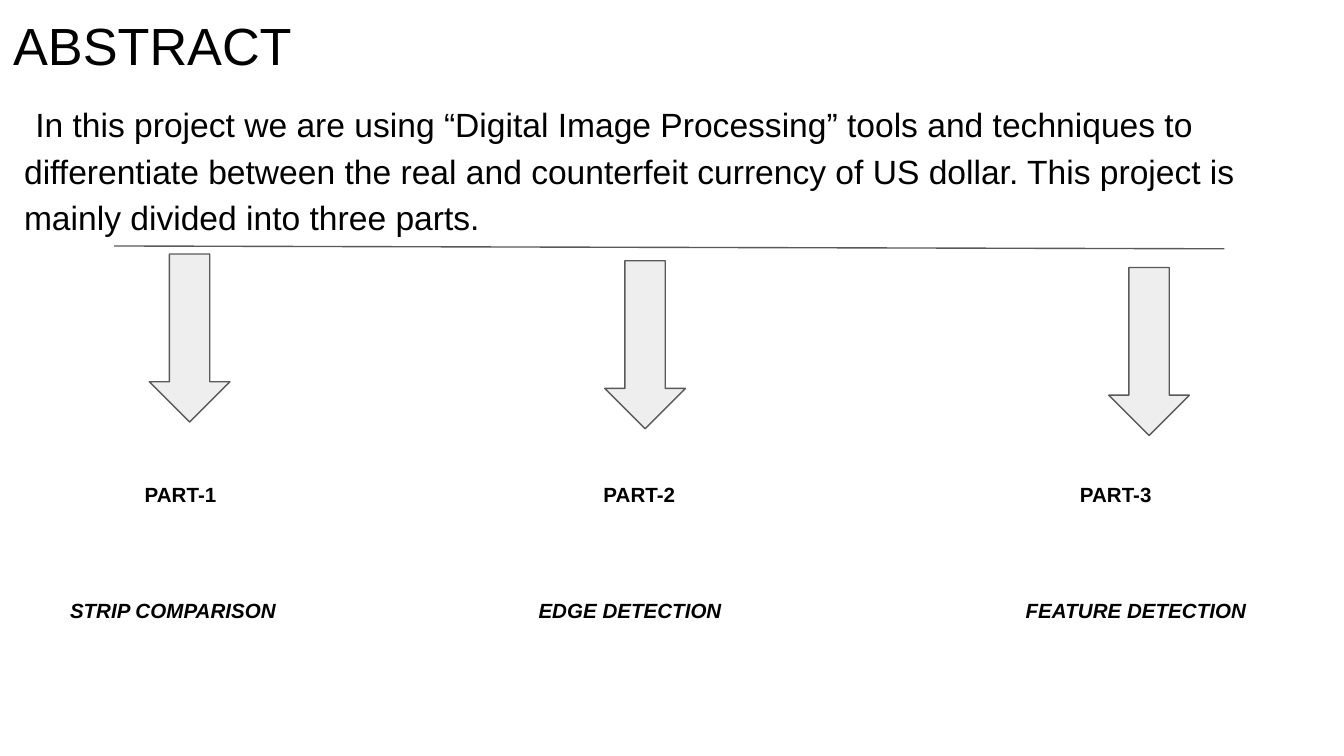
from lxml import etree
from pptx import Presentation
from pptx.dml.color import RGBColor
from pptx.enum.shapes import MSO_CONNECTOR, MSO_SHAPE
from pptx.enum.text import MSO_ANCHOR
from pptx.oxml.ns import qn
from pptx.util import Pt

STRAIGHT = MSO_CONNECTOR.STRAIGHT
DOWN_ARROW = MSO_SHAPE.DOWN_ARROW
TOP, MIDDLE = MSO_ANCHOR.TOP, MSO_ANCHOR.MIDDLE

COLORS = {"text": "000000", "fill": "EEEEEE", "line": "595959"}

ABSTRACT = (
    "In this project we are using “Digital Image Processing” tools and "
    "techniques to differentiate between the real and counterfeit currency of "
    "US dollar. This project is mainly divided into three parts."
)

# name, name left, caption, caption left, arrow left
PARTS = [
    ("PART-1", 77.5, "STRIP COMPARISON", 37.5, 80),
    ("PART-2", 323.3, "EDGE DETECTION", 288.5, 324),
    ("PART-3", 578.5, "FEATURE DETECTION", 549.5, 594),
]
ARROW_TOP, ARROW_STEP = 136.1, 3.6


class Deck:
    font = "Arial"
    line_width = 0.75

    def __init__(self, prs):
        self.s = prs.slides.add_slide(prs.slide_layouts[6])

    def color(self, name):
        return RGBColor.from_string(COLORS[name])

    def outline(self, line):
        line.color.rgb = self.color("line")
        line.width = Pt(self.line_width)

    def text(self, x, y, w, h, text, size, inset=7.2, anchor=TOP,
             bold=False, italic=False, spacing=1.0, indent=0):
        """Add a one-paragraph box; indent applies to the first line only."""
        tf = self.s.shapes.add_textbox(Pt(x), Pt(y), Pt(w), Pt(h)).text_frame
        tf.word_wrap = True
        tf.vertical_anchor = anchor
        tf.margin_left = tf.margin_right = Pt(inset)
        tf.margin_top = tf.margin_bottom = Pt(inset)
        p = tf.paragraphs[0]
        p.text = text
        p.line_spacing = spacing
        p.font.name = self.font
        p.font.size = Pt(size)
        p.font.bold = bold
        p.font.italic = italic
        p.font.color.rgb = self.color("text")
        if indent:
            p._p.get_or_add_pPr().set("indent", str(Pt(indent)))

    def label(self, x, y, text, italic=False):
        self.text(x, y, 140, 16, text, 11, inset=0, anchor=MIDDLE,
                  bold=True, italic=italic)

    def rule(self, x1, y1, x2, y2):
        line = self.s.shapes.add_connector(STRAIGHT, Pt(x1), Pt(y1), Pt(x2), Pt(y2))
        self.outline(line.line)
        etree.SubElement(line._element.spPr, qn("a:effectLst"))

    def arrow(self, x, y, w=43.2, h=90):
        sp = self.s.shapes.add_shape(DOWN_ARROW, Pt(x), Pt(y), Pt(w), Pt(h))
        sp.shadow.inherit = False
        sp.fill.solid()
        sp.fill.fore_color.rgb = self.color("fill")
        self.outline(sp.line)


def main():
    prs = Presentation()
    prs.slide_width, prs.slide_height = Pt(720), Pt(405)
    deck = Deck(prs)

    deck.text(0, 0, 671, 45.4, "ABSTRACT", 28)
    deck.text(5.8, 45.4, 671, 86, ABSTRACT, 18, spacing=1.15, indent=6)
    deck.rule(61.2, 131.8, 655.9, 133.3)

    for i, (name, name_x, caption, caption_x, arrow_x) in enumerate(PARTS):
        deck.arrow(arrow_x, ARROW_TOP + i * ARROW_STEP)
        deck.label(name_x, 257, name)
        deck.label(caption_x, 319, caption, italic=True)

    prs.save("out.pptx")


if __name__ == "__main__":
    main()
